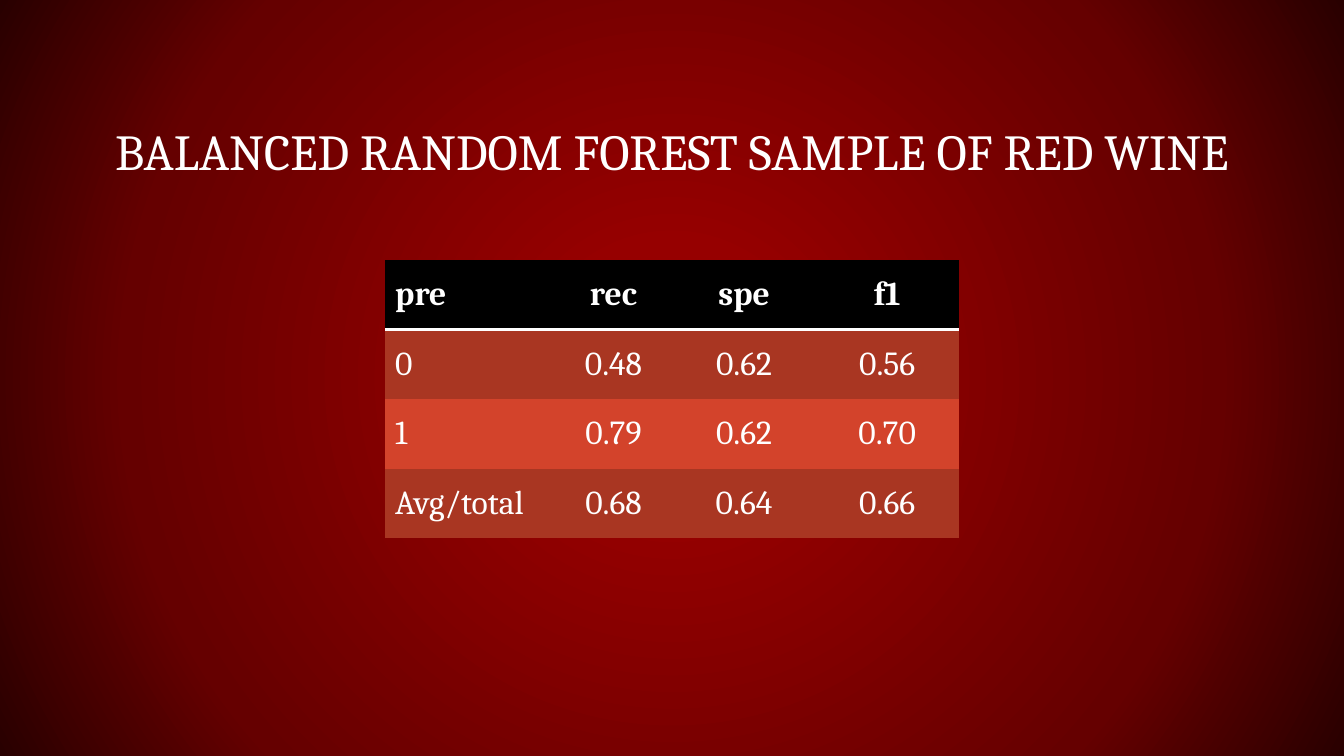
"""Build the slide with the scores of a balanced random forest on red wine."""
from pptx import Presentation
from pptx.dml.color import RGBColor
from pptx.enum.text import MSO_ANCHOR, MSO_AUTO_SIZE, PP_ALIGN
from pptx.oxml import parse_xml
from pptx.oxml.ns import nsdecls
from pptx.util import Inches, Pt

LEFT, CENTER = PP_ALIGN.LEFT, PP_ALIGN.CENTER
MIDDLE, BOTTOM = MSO_ANCHOR.MIDDLE, MSO_ANCHOR.BOTTOM
NO_AUTOFIT = MSO_AUTO_SIZE.NONE
PLAIN_TABLE = "{2D5ABB26-0587-4C30-8999-92F81FD0307C}"
TITLE_ONLY = 5

HEADER_FILL = "000000"
BAND_FILLS = ("A93622", "D3432B")
BACKDROP = ((17, "960000"), (71, "650000"), (100, "290000"))
COLUMN_WIDTHS = (1.68, 1.17, 1.42, 1.42)
ROW_HEIGHT = 0.69
SCORES = (
    ("pre", "rec", "spe", "f1"),
    ("0", "0.48", "0.62", "0.56"),
    ("1", "0.79", "0.62", "0.70"),
    ("Avg/total", "0.68", "0.64", "0.66"),
)


def rgb(color):
    """Turn a hex string into a colour."""
    return RGBColor.from_string(color)


class SlideBuilder:
    """Hold the text style and the current slide."""

    font = "Cambria"
    ink = "FFFFFF"

    def __init__(self, slide):
        """Keep the slide to draw on."""
        self.slide = slide

    def background(self, stops):
        """Fill the background with a gradient that spreads from the centre."""
        self.slide.background.fill.solid()
        solid = self.slide.element.xpath("p:cSld/p:bg/p:bgPr/a:solidFill")[0]
        marks = "".join(
            f'<a:gs pos="{percent * 1000}"><a:srgbClr val="{color}"/></a:gs>'
            for percent, color in stops
        )
        gradient = parse_xml(
            f'<a:gradFill {nsdecls("a")} rotWithShape="1"><a:gsLst>{marks}</a:gsLst>'
            '<a:path path="circle">'
            '<a:fillToRect l="50000" t="50000" r="50000" b="50000"/>'
            "</a:path></a:gradFill>"
        )
        solid.getparent().replace(solid, gradient)

    def set_text(self, frame, text, size, align, bold=False):
        """Set one formatted paragraph."""
        frame.text = text
        paragraph = frame.paragraphs[0]
        paragraph.alignment = align
        font = paragraph.runs[0].font
        font.name, font.size, font.bold = self.font, Pt(size), bold
        font.color.rgb = rgb(self.ink)
        return paragraph

    def title(self, text, left, top, width, height):
        """Place and format the title placeholder."""
        heading = self.slide.shapes.title
        heading.left, heading.top = Inches(left), Inches(top)
        heading.width, heading.height = Inches(width), Inches(height)
        frame = heading.text_frame
        frame.auto_size, frame.word_wrap = NO_AUTOFIT, True
        frame.vertical_anchor = BOTTOM
        frame.margin_left = frame.margin_right = Inches(0.13)
        frame.margin_top = frame.margin_bottom = Inches(0.07)
        self.set_text(frame, text, 36, CENTER).line_spacing = 0.8

    def underline(self, cell, points):
        """Draw the bottom border of a cell."""
        border = parse_xml(
            f'<a:lnB {nsdecls("a")} w="{Pt(points)}"><a:solidFill>'
            f'<a:srgbClr val="{self.ink}"/></a:solidFill></a:lnB>'
        )
        cell._tc.get_or_add_tcPr().insert(0, border)

    def table(self, rows, left, top, widths, row_height):
        """Add a table with a header row and banded rows."""
        frame = self.slide.shapes.add_table(
            len(rows), len(widths), Inches(left), Inches(top),
            Inches(sum(widths)), Inches(row_height * len(rows)),
        )
        table = frame.table
        table._tbl.tblPr.find("{*}tableStyleId").text = PLAIN_TABLE
        for column, width in zip(table.columns, widths):
            column.width = Inches(width)
        for r, values in enumerate(rows):
            table.rows[r].height = Inches(row_height)
            header = r == 0
            for c, value in enumerate(values):
                cell = table.cell(r, c)
                cell.vertical_anchor = MIDDLE
                cell.fill.solid()
                fill = HEADER_FILL if header else BAND_FILLS[(r - 1) % 2]
                cell.fill.fore_color.rgb = rgb(fill)
                self.set_text(cell.text_frame, value, 24, CENTER if c else LEFT, header)
                if header:
                    self.underline(cell, 2)


def main():
    """Build and save the presentation."""
    deck = Presentation()
    deck.slide_width, deck.slide_height = Inches(13.33), Inches(7.5)
    builder = SlideBuilder(deck.slides.add_slide(deck.slide_layouts[TITLE_ONLY]))
    builder.background(BACKDROP)
    builder.title("BALANCED RANDOM FOREST SAMPLE OF RED WINE", 1, 0.53, 11.33, 1.33)
    builder.table(SCORES, 3.82, 2.58, COLUMN_WIDTHS, ROW_HEIGHT)
    deck.save("out.pptx")


if __name__ == "__main__":
    main()
